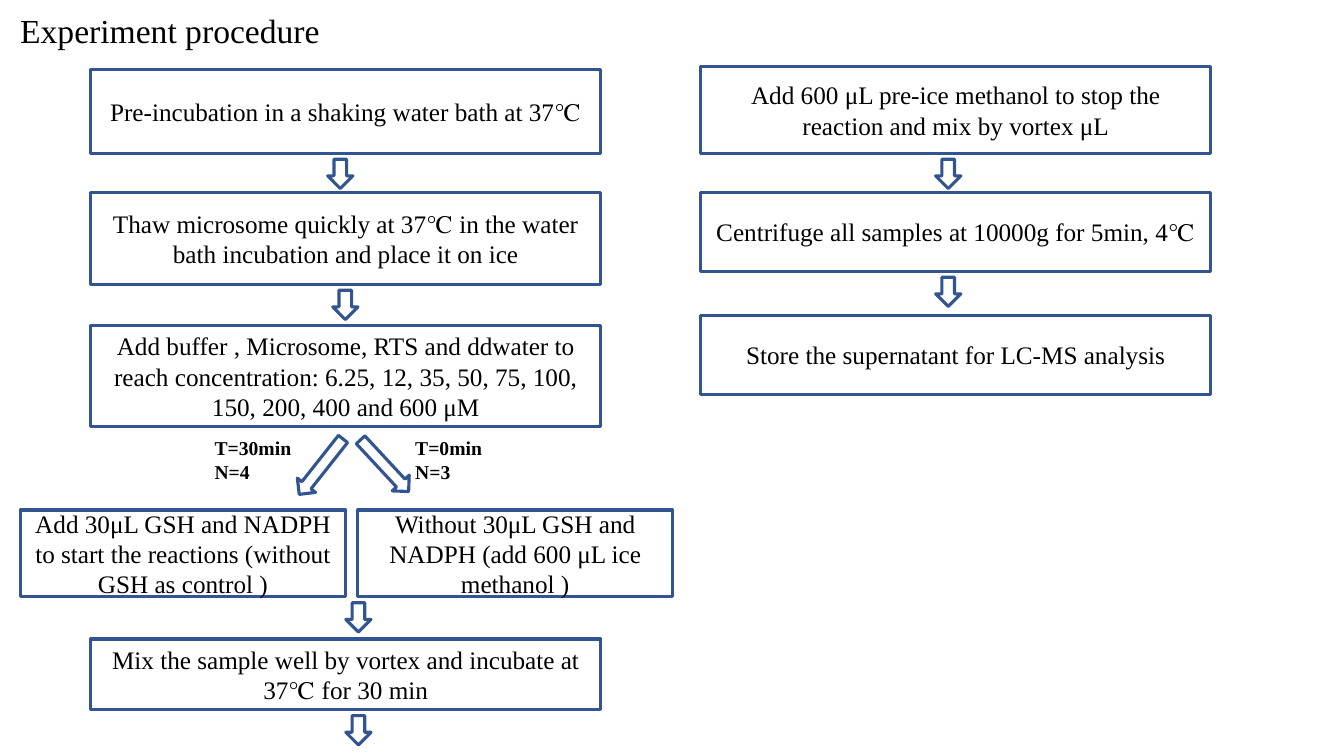
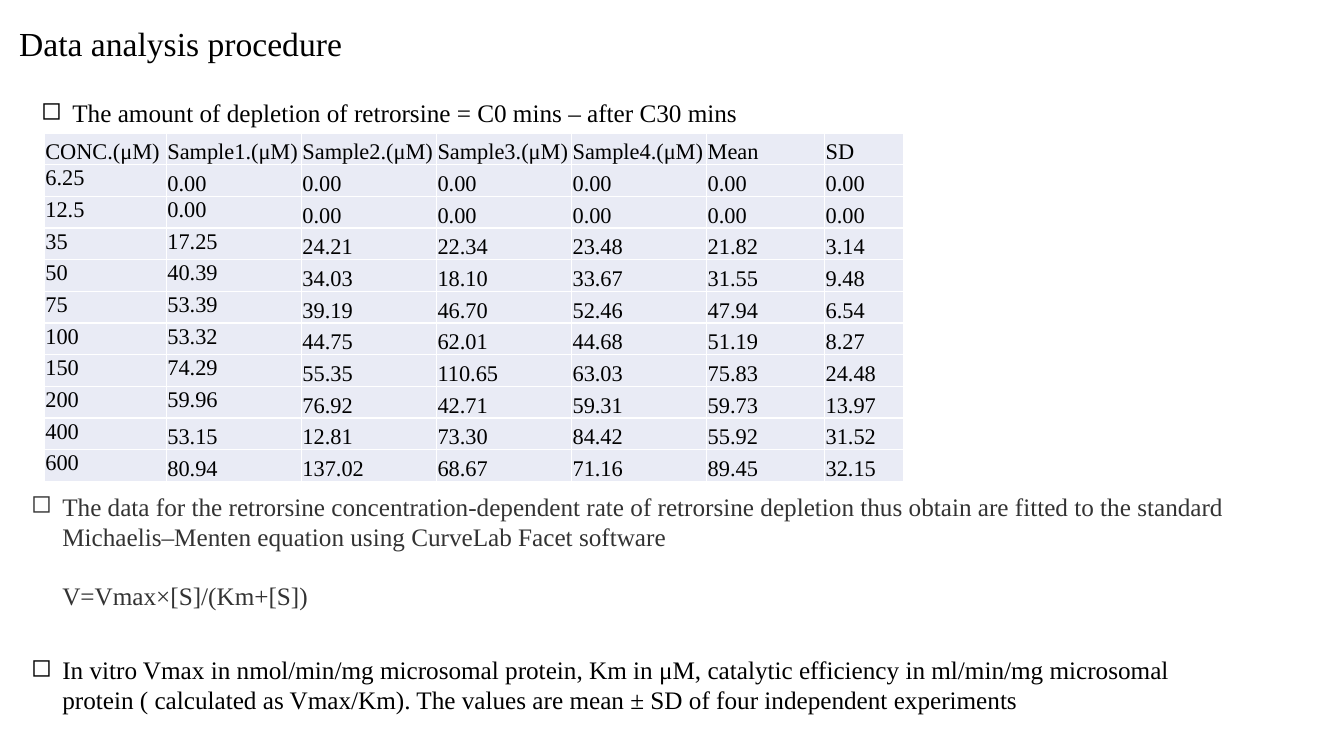
from dataclasses import dataclass

from lxml.etree import SubElement
from pptx import Presentation
from pptx.dml.color import RGBColor
from pptx.enum.shapes import MSO_SHAPE
from pptx.enum.text import MSO_ANCHOR, MSO_AUTO_SIZE, PP_ALIGN
from pptx.oxml.ns import qn
from pptx.util import Inches, Pt


@dataclass(frozen=True)
class Theme:
    font: str = "Times New Roman"
    text: str = "000000"
    soft_text: str = "333333"
    outline: str = "325491"
    cell: str = "E9EBF5"
    title_size: int = 24
    body_size: int = 18
    table_size: int = 16
    label_size: int = 14
    outline_width: float = 2.25


THEME = Theme()
SLIDE_SIZE = (13.33, 7.5)

# Flow steps: text, box (left, top, width, height), left of the arrow below it
LEFT, RIGHT, STEP_WIDTH = 0.9, 6.95, 5.06
STEPS = [
    ("Pre-incubation in a shaking water bath at 37℃",
     (LEFT, 0.69, STEP_WIDTH, 0.83), 3.25),
    ("Thaw microsome quickly at 37℃ in the water bath incubation and place it on ice",
     (LEFT, 1.91, STEP_WIDTH, 0.91), 3.3),
    ("Add buffer , Microsome, RTS and ddwater to reach concentration: "
     "6.25, 12, 35, 50, 75, 100, 150, 200, 400 and 600 μM",
     (LEFT, 3.23, STEP_WIDTH, 1), None),
    ("Add 30μL GSH and NADPH to start the reactions (without GSH as control )",
     (0.2, 5.06, 3.23, 0.86), 3.43),
    ("Without 30μL GSH and NADPH (add 600 μL ice methanol )",
     (3.55, 5.06, 3.12, 0.86), None),
    ("Mix the sample well by vortex and incubate at 37℃ for 30 min",
     (LEFT, 6.34, STEP_WIDTH, 0.7), 3.43),
    ("Add 600 μL pre-ice methanol to stop the reaction and mix by vortex μL",
     (RIGHT, 0.66, STEP_WIDTH, 0.86), 9.28),
    ("Centrifuge all samples at 10000g for 5min, 4℃",
     (RIGHT, 1.91, STEP_WIDTH, 0.78), 9.28),
    ("Store the supernatant for LC-MS analysis",
     (RIGHT, 3.13, STEP_WIDTH, 0.78), None),
]
ARROW_GAP, ARROW_SIZE = 0.06, (0.25, 0.29)

# Branches: label lines, label box, arrow box, arrow rotation
BRANCHES = [
    (["T=30min", "N=4"], (2.03, 4.28, 1.17, 0.57), (3.07, 4.28, 0.23, 0.7), 38.3),
    (["T=0min", "N=3"], (4.02, 4.28, 1.1, 0.57), (3.7, 4.27, 0.23, 0.7), 317.1),
]

DEPLETION = "The amount of depletion of retrorsine = C0 mins – after C30 mins"
FITTING = ("The data for the retrorsine concentration-dependent rate of retrorsine "
           "depletion thus obtain are fitted to the standard Michaelis–Menten "
           "equation using CurveLab Facet software")
EQUATION = "V=Vmax×[S]/(Km+[S])"
UNITS = ("In vitro Vmax in nmol/min/mg microsomal protein, Km in μM, catalytic "
         "efficiency in ml/min/mg microsomal protein ( calculated as Vmax/Km). "
         "The values are mean ± SD of four independent experiments")

RESULTS = [
    ("CONC.(μM)", "Sample1.(μM)", "Sample2.(μM)", "Sample3.(μM)", "Sample4.(μM)",
     "Mean", "SD"),
    ("6.25", "0.00", "0.00", "0.00", "0.00", "0.00", "0.00"),
    ("12.5", "0.00", "0.00", "0.00", "0.00", "0.00", "0.00"),
    ("35", "17.25", "24.21", "22.34", "23.48", "21.82", "3.14"),
    ("50", "40.39", "34.03", "18.10", "33.67", "31.55", "9.48"),
    ("75", "53.39", "39.19", "46.70", "52.46", "47.94", "6.54"),
    ("100", "53.32", "44.75", "62.01", "44.68", "51.19", "8.27"),
    ("150", "74.29", "55.35", "110.65", "63.03", "75.83", "24.48"),
    ("200", "59.96", "76.92", "42.71", "59.31", "59.73", "13.97"),
    ("400", "53.15", "12.81", "73.30", "84.42", "55.92", "31.52"),
    ("600", "80.94", "137.02", "68.67", "71.16", "89.45", "32.15"),
]
COLUMN_WIDTHS = (1.21, 1.34, 1.34, 1.34, 1.34, 1.17, 0.78)
RESULTS_BOX = (0.44, 1.32, sum(COLUMN_WIDTHS), 3.46)
TOP_ALIGNED_ROWS = {0: range(1, 11), 1: range(2, 9)}  # by column
BULLET, BULLET_INDENT = "◻", 0.31


def inches(values):
    return [Inches(value) for value in values]


def apply_format(target, values):
    for name, value in values.items():
        setattr(target, name, value)


def write(frame, lines, size, color=THEME.text, bold=False, **paragraph_format):
    """Fill a text frame with one paragraph per line and return the paragraphs."""
    frame.word_wrap = True
    paragraphs = []
    for index, line in enumerate(lines):
        paragraph = frame.add_paragraph() if index else frame.paragraphs[0]
        run = paragraph.add_run()
        run.text = line
        apply_format(run.font, {"name": THEME.font, "size": Pt(size), "bold": bold})
        run.font.color.rgb = RGBColor.from_string(color)
        apply_format(paragraph, paragraph_format)
        paragraphs.append(paragraph)
    return paragraphs


def indent(paragraph, bullet=False):
    properties = paragraph._p.get_or_add_pPr()
    properties.set("marL", str(Inches(BULLET_INDENT)))
    if bullet:
        properties.set("indent", str(-Inches(BULLET_INDENT)))
        SubElement(properties, qn("a:buChar")).set("char", BULLET)


def add_titled_slide(deck, title, box):
    slide = deck.slides.add_slide(deck.slide_layouts[5])
    heading = slide.shapes.title
    apply_format(heading, dict(zip(("left", "top", "width", "height"), inches(box))))
    apply_format(heading.text_frame, {"auto_size": MSO_AUTO_SIZE.NONE,
                                      "vertical_anchor": MSO_ANCHOR.TOP})
    write(heading.text_frame, [title], THEME.title_size, alignment=PP_ALIGN.LEFT)
    return slide


def add_outline(slide, preset, box, rotation=0):
    outline = slide.shapes.add_shape(preset, *inches(box))
    outline.rotation = rotation
    outline.shadow.inherit = False
    outline.fill.background()
    outline.line.color.rgb = RGBColor.from_string(THEME.outline)
    outline.line.width = Pt(THEME.outline_width)
    return outline


def add_bullet(slide, box, lines, color=THEME.text, line_spacing=None):
    frame = slide.shapes.add_textbox(*inches(box)).text_frame
    paragraphs = write(frame, lines, THEME.body_size, color)
    for index, paragraph in enumerate(paragraphs):
        indent(paragraph, bullet=index == 0)
        if index:
            paragraph.space_before = Pt(21)
    if line_spacing:
        paragraphs[0].line_spacing = line_spacing


def add_results(slide):
    table = slide.shapes.add_table(len(RESULTS), len(COLUMN_WIDTHS),
                                   *inches(RESULTS_BOX)).table
    apply_format(table, {"first_row": False, "horz_banding": False})
    for column, width in zip(table.columns, COLUMN_WIDTHS):
        column.width = Inches(width)
    for row in table.rows:
        row.height = Inches(RESULTS_BOX[3] / len(RESULTS))
    for row, values in enumerate(RESULTS):
        for column, value in enumerate(values):
            cell = table.cell(row, column)
            at_top = row in TOP_ALIGNED_ROWS.get(column, ())
            apply_format(cell, {
                "margin_left": Inches(0.01), "margin_right": Inches(0.01),
                "margin_top": Inches(0.01), "margin_bottom": 0,
                "vertical_anchor": MSO_ANCHOR.TOP if at_top else MSO_ANCHOR.BOTTOM,
            })
            cell.fill.solid()
            cell.fill.fore_color.rgb = RGBColor.from_string(THEME.cell)
            write(cell.text_frame, [value], THEME.table_size)


def build_experiment(deck):
    slide = add_titled_slide(deck, "Experiment procedure", (0.1, 0.05, 5.01, 0.5))
    for text, box, arrow_left in STEPS:
        step = add_outline(slide, MSO_SHAPE.RECTANGLE, box)
        step.text_frame.vertical_anchor = MSO_ANCHOR.MIDDLE
        write(step.text_frame, [text], THEME.body_size, alignment=PP_ALIGN.CENTER)
        if arrow_left is not None:
            arrow_top = box[1] + box[3] + ARROW_GAP
            add_outline(slide, MSO_SHAPE.DOWN_ARROW,
                        (arrow_left, arrow_top, *ARROW_SIZE))
    for lines, label_box, arrow_box, rotation in BRANCHES:
        add_outline(slide, MSO_SHAPE.DOWN_ARROW, arrow_box, rotation)
        label = slide.shapes.add_textbox(*inches(label_box))
        write(label.text_frame, lines, THEME.label_size, bold=True)


def build_analysis(deck):
    slide = add_titled_slide(deck, "Data analysis procedure", (0.09, 0.18, 6.93, 0.5))
    add_bullet(slide, (0.31, 0.86, 8.27, 0.44), [DEPLETION], line_spacing=1.2)
    add_results(slide)
    add_bullet(slide, (0.21, 4.82, 12.69, 1.62), [FITTING, EQUATION], THEME.soft_text)
    add_bullet(slide, (0.21, 6.44, 12.12, 0.71), [UNITS])


def main():
    deck = Presentation()
    deck.slide_width, deck.slide_height = inches(SLIDE_SIZE)
    build_experiment(deck)
    build_analysis(deck)
    deck.save("out.pptx")


if __name__ == "__main__":
    main()
